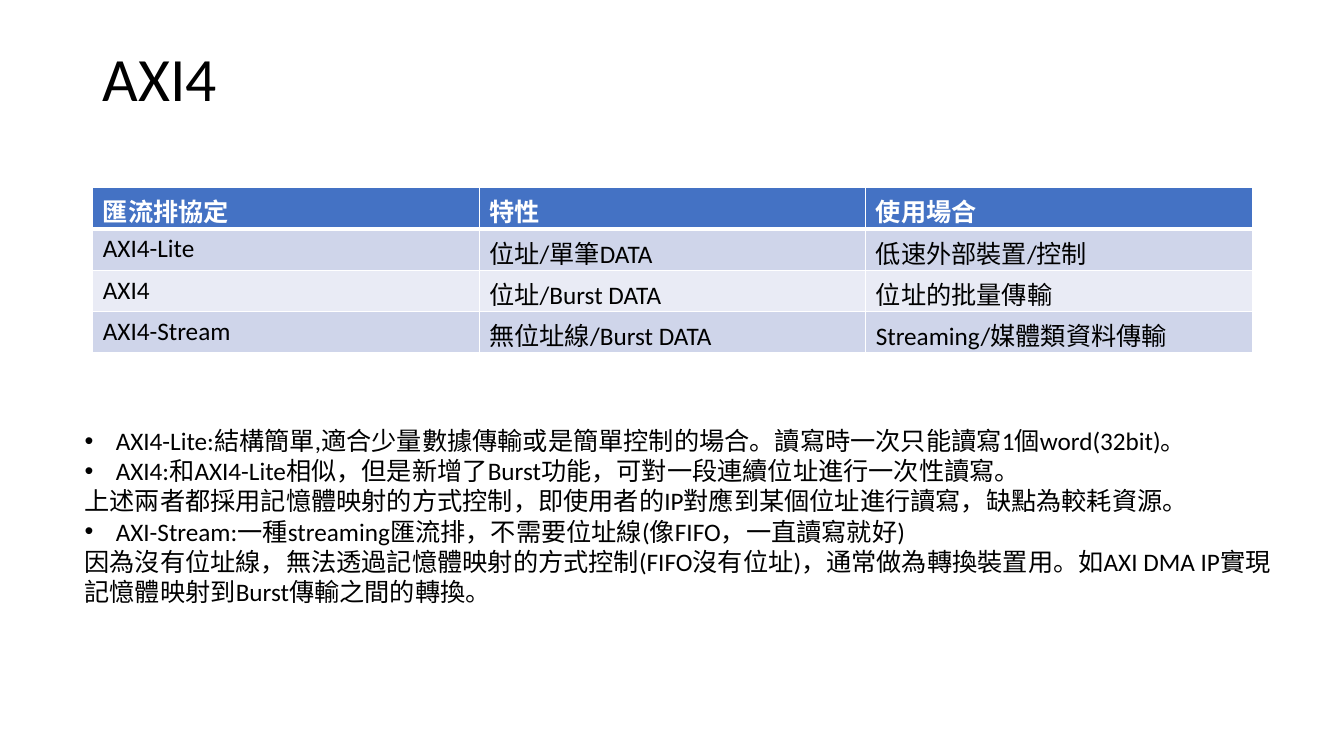
import pptx
import pptx.util
import pptx.dml.color
import pptx.enum.text
import pptx.oxml.ns
from lxml import etree
from pptx.util import Inches

TITLE = "AXI4"
PROTOCOLS = [
    ("匯流排協定", "特性", "使用場合"),
    ("AXI4-Lite", "位址/單筆DATA", "低速外部裝置/控制"),
    ("AXI4", "位址/Burst DATA", "位址的批量傳輸"),
    ("AXI4-Stream", "無位址線/Burst DATA", "Streaming/媒體類資料傳輸"),
]
# (bulleted, text)
NOTES = [
    (True, "AXI4-Lite:結構簡單,適合少量數據傳輸或是簡單控制的場合。讀寫時一次只能讀寫1個word(32bit)。"),
    (True, "AXI4:和AXI4-Lite相似，但是新增了Burst功能，可對一段連續位址進行一次性讀寫。"),
    (False, "上述兩者都採用記憶體映射的方式控制，即使用者的IP對應到某個位址進行讀寫，缺點為較耗資源。"),
    (True, "AXI-Stream:一種streaming匯流排，不需要位址線(像FIFO，一直讀寫就好)"),
    (False, "因為沒有位址線，無法透過記憶體映射的方式控制(FIFO沒有位址)，通常做為轉換裝置用。"
            "如AXI DMA IP實現記憶體映射到Burst傳輸之間的轉換。"),
]
BLACK, WHITE = "000000", "FFFFFF"
HEADER_FILL, BAND_FILLS = "4472C4", ("CFD5EA", "E9EBF5")
LEFT, WIDTH = 0.92, 11.5
ROW_HEIGHT = 0.41
BULLET_INDENT = 0.31


def rgb(value):
    return pptx.dml.color.RGBColor.from_string(value)


def write(paragraph, text, size=18, color=BLACK, bold=False, spacing=None, bullet=False):
    run = paragraph.add_run()
    run.text = text
    run.font.name = "Calibri"
    run.font.size = pptx.util.Pt(size)
    run.font.bold = bold
    run.font.color.rgb = rgb(color)
    if spacing:
        paragraph.line_spacing = spacing
    if bullet:
        props = paragraph._p.get_or_add_pPr()
        props.set("marL", str(Inches(BULLET_INDENT)))
        props.set("indent", str(-Inches(BULLET_INDENT)))
        for tag, key, value in (("a:buFont", "typeface", "Arial"), ("a:buChar", "char", "•")):
            etree.SubElement(props, pptx.oxml.ns.qn(tag)).set(key, value)


def add_text_frame(slide, left, top, width, height):
    frame = slide.shapes.add_textbox(*map(Inches, (left, top, width, height))).text_frame
    frame.word_wrap = True
    return frame


def set_borders(cell, top, bottom):
    props = cell._tc.get_or_add_tcPr()
    sides = (("a:lnL", 1), ("a:lnR", 1), ("a:lnT", top), ("a:lnB", bottom))
    for position, (tag, points) in enumerate(sides):
        line = etree.Element(pptx.oxml.ns.qn(tag), w=str(pptx.util.Pt(points)))
        fill = etree.SubElement(line, pptx.oxml.ns.qn("a:solidFill"))
        etree.SubElement(fill, pptx.oxml.ns.qn("a:srgbClr"), val=WHITE)
        props.insert(position, line)


def main():
    deck = pptx.Presentation()
    deck.slide_width, deck.slide_height = Inches(13.33), Inches(7.5)
    slide = deck.slides.add_slide(deck.slide_layouts[6])

    # Title
    title = add_text_frame(slide, LEFT, 0.08, WIDTH, 1.45)
    title.vertical_anchor = pptx.enum.text.MSO_ANCHOR.MIDDLE
    write(title.paragraphs[0], TITLE, size=44, spacing=0.9)

    # Protocol table
    row_count, column_count = len(PROTOCOLS), len(PROTOCOLS[0])
    protocols = slide.shapes.add_table(
        row_count, column_count, Inches(LEFT), Inches(1.86),
        Inches(WIDTH), Inches(ROW_HEIGHT * row_count)).table
    for row, entries in enumerate(PROTOCOLS):
        header = row == 0
        for column, entry in enumerate(entries):
            cell = protocols.cell(row, column)
            cell.fill.solid()
            cell.fill.fore_color.rgb = rgb(HEADER_FILL if header else BAND_FILLS[(row - 1) % 2])
            set_borders(cell, top=3 if row == 1 else 1, bottom=3 if header else 1)
            write(cell.text_frame.paragraphs[0], entry,
                  color=WHITE if header else BLACK, bold=header)

    # Notes under the table
    notes = add_text_frame(slide, 0.74, 4.17, 12.17, 1.92)
    notes.auto_size = pptx.enum.text.MSO_AUTO_SIZE.SHAPE_TO_FIT_TEXT
    for index, (bulleted, note) in enumerate(NOTES):
        paragraph = notes.add_paragraph() if index else notes.paragraphs[0]
        write(paragraph, note, bullet=bulleted)

    deck.save("out.pptx")


if __name__ == "__main__":
    main()
